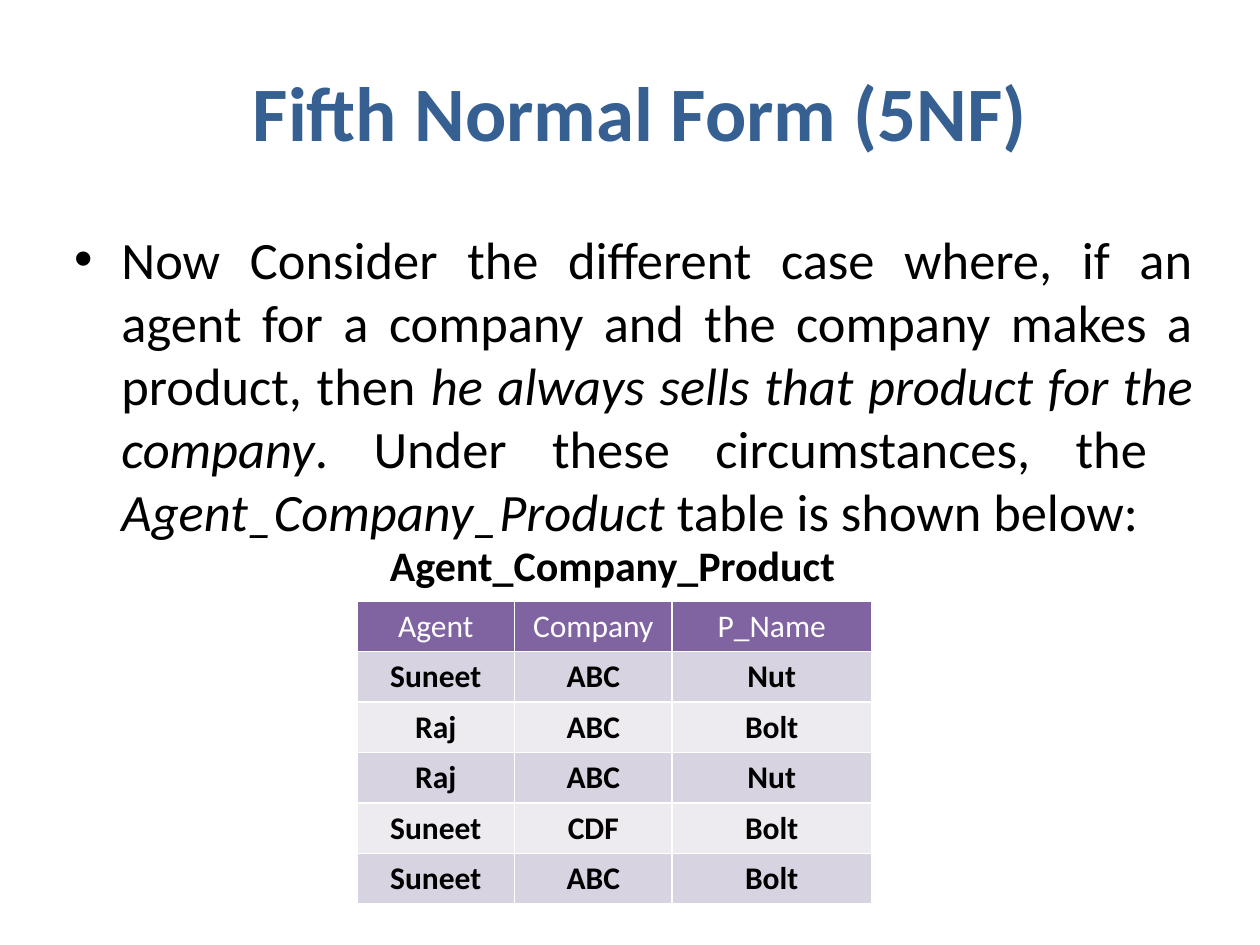
import pptx
import pptx.dml.color
import pptx.enum.text
import pptx.oxml
import pptx.oxml.ns
import pptx.util

Pt = pptx.util.Pt
RGBColor = pptx.dml.color.RGBColor
ALIGN = pptx.enum.text.PP_ALIGN
ANCHOR = pptx.enum.text.MSO_ANCHOR

# Content
TITLE = "Fifth Normal Form (5NF)"
BODY = [  # (text, italic)
    ("Now Consider the different case where, if an agent for a company "
     "and the company makes a product, then ", False),
    ("he always sells that product for the company", True),
    (". Under these circumstances, the  ", False),
    ("Agent_Company_Product ", True),
    ("table is shown below:", False),
]
CAPTION = "Agent_Company_Product"
ROWS = [
    ("Agent", "Company", "P_Name"),
    ("Suneet", "ABC", "Nut"),
    ("Raj", "ABC", "Bolt"),
    ("Raj", "ABC", "Nut"),
    ("Suneet", "CDF", "Bolt"),
    ("Suneet", "ABC", "Bolt"),
]

# Look
FONT = "Calibri"
BLUE = RGBColor(0x37, 0x60, 0x92)
BLACK = RGBColor(0, 0, 0)
WHITE = RGBColor(0xFF, 0xFF, 0xFF)
PURPLE = RGBColor(0x80, 0x64, 0xA2)
BANDS = [RGBColor(0xD8, 0xD3, 0xE0), RGBColor(0xED, 0xEA, 0xF0)]
COL_WIDTHS = [90, 90, 114]
ROW_HEIGHT = 28.8
BULLET_INDENT = 27


def format_runs(p, size, color, bold=False, align=ALIGN.CENTER):
    p.alignment = align
    for r in p.runs:
        r.font.name = FONT
        r.font.size = Pt(size)
        r.font.bold = bold
        r.font.color.rgb = color


def add_text(slide, box, runs, size, color, bold=False,
             align=ALIGN.CENTER, anchor=ANCHOR.TOP):
    tf = slide.shapes.add_textbox(*map(Pt, box)).text_frame
    tf.word_wrap = True
    tf.vertical_anchor = anchor
    p = tf.paragraphs[0]
    for text, italic in runs:
        r = p.add_run()
        r.text = text
        r.font.italic = italic
    format_runs(p, size, color, bold, align)
    return p


def add_bullet(p):
    pPr = p._p.get_or_add_pPr()
    pPr.set("marL", str(Pt(BULLET_INDENT)))
    pPr.set("indent", str(-Pt(BULLET_INDENT)))
    ns = pptx.oxml.ns.nsdecls("a")
    pPr.append(pptx.oxml.parse_xml(f'<a:buFont {ns} typeface="Arial"/>'))
    pPr.append(pptx.oxml.parse_xml(f'<a:buChar {ns} char="•"/>'))


def add_data_table(slide, left, top):
    # The default table style supplies the white cell borders
    table = slide.shapes.add_table(
        len(ROWS), len(COL_WIDTHS), Pt(left), Pt(top),
        Pt(sum(COL_WIDTHS)), Pt(ROW_HEIGHT * len(ROWS))).table
    for col, width in zip(table.columns, COL_WIDTHS):
        col.width = Pt(width)
    for i, values in enumerate(ROWS):
        header = i == 0
        for j, value in enumerate(values):
            cell = table.cell(i, j)
            cell.fill.solid()
            cell.fill.fore_color.rgb = PURPLE if header else BANDS[(i - 1) % 2]
            cell.text_frame.text = value
            format_runs(cell.text_frame.paragraphs[0], 18,
                        WHITE if header else BLACK, bold=not header)


def main():
    prs = pptx.Presentation()
    prs.slide_width, prs.slide_height = Pt(720), Pt(540)
    slide = prs.slides.add_slide(prs.slide_layouts[6])

    # Title and body
    add_text(slide, (42, 18, 648, 90), [(TITLE, False)], 44, BLUE,
             bold=True, anchor=ANCHOR.MIDDLE)
    body = add_text(slide, (35.3, 126, 653.8, 222), BODY, 30, BLACK,
                    align=ALIGN.JUSTIFY)
    add_bullet(body)

    # Table and its caption
    add_data_table(slide, 204, 343.5)
    add_text(slide, (206, 304.5, 288, 37.5), [(CAPTION, False)], 24, BLACK,
             bold=True)

    prs.save("out.pptx")


if __name__ == "__main__":
    main()
